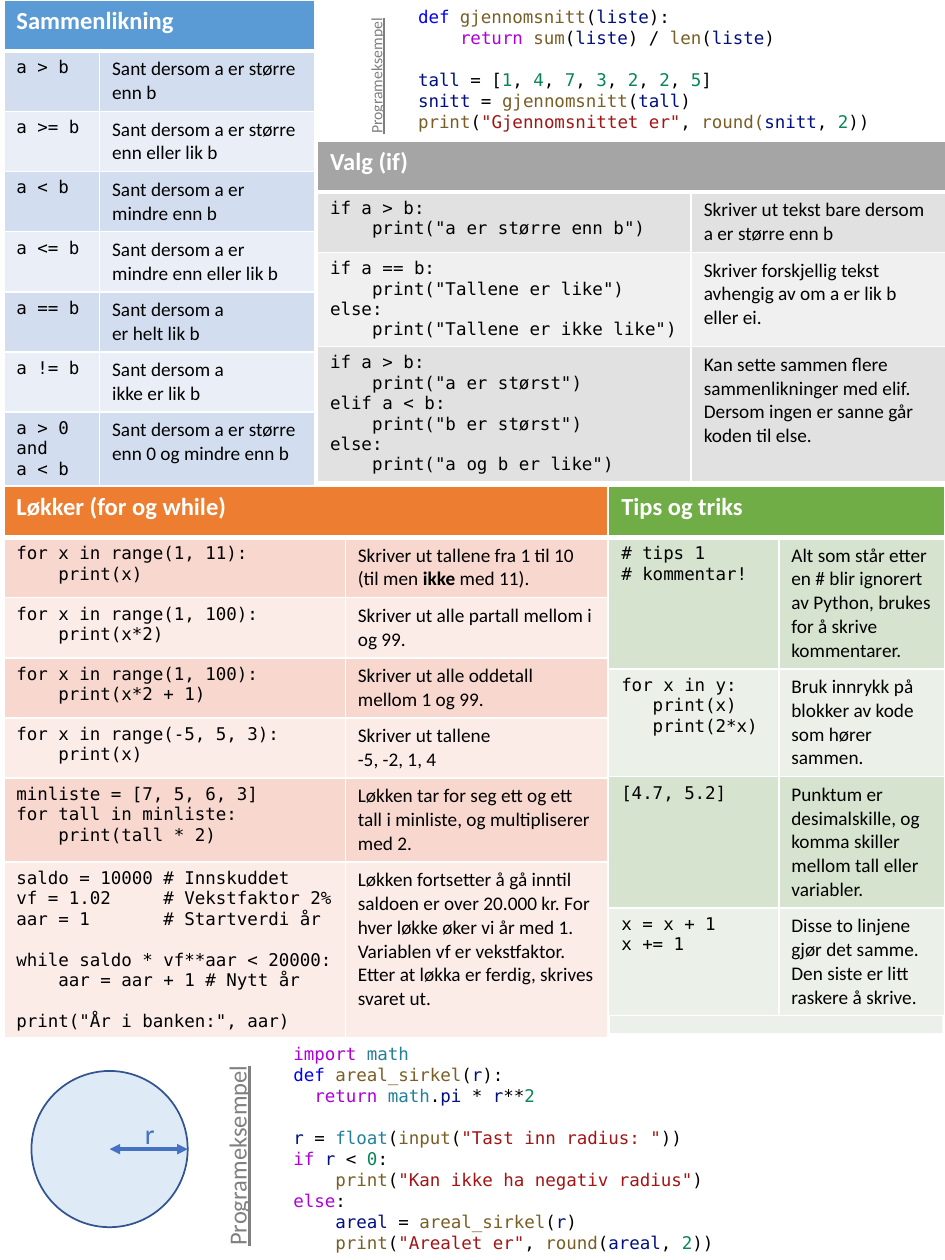
from lxml import etree
from pptx import Presentation
from pptx.dml.color import RGBColor
from pptx.enum.shapes import MSO_CONNECTOR, MSO_SHAPE
from pptx.enum.text import MSO_AUTO_SIZE
from pptx.oxml.ns import qn
from pptx.util import Pt

RECTANGLE, ELLIPSE = MSO_SHAPE.RECTANGLE, MSO_SHAPE.OVAL
STRAIGHT = MSO_CONNECTOR.STRAIGHT
GROW = MSO_AUTO_SIZE.SHAPE_TO_FIT_TEXT

BODY, MONO = "Calibri", "DejaVu Sans Mono"
CODE_SIZE, CODE_LINE, ROW_HEIGHT = 10, 11.64, 29.2
COLOURS = {
    "white": "FFFFFF", "black": "000000", "grey": "808080",
    "circle": "DEEBF7", "outline": "325491", "radius": "4472C4", "footer": "EBF1EA",
    # Syntax colours, keyed by the letter that starts each code span
    "k": "AF00DB", "d": "0000FF", "t": "267F99", "f": "795E26",
    "v": "001080", "n": "098658", "s": "A31515", "p": "000000",
}
# Heading, odd row and even row colours
THEMES = {
    "blue": ("5B9BD5", "D2DEEF", "EAEFF7"),
    "grey": ("A5A5A5", "E1E1E1", "F0F0F0"),
    "orange": ("ED7D31", "F8D7CE", "FCECE8"),
    "green": ("70AD47", "D5E3CF", "EBF1E9"),
}

COMPARISONS = [
    ("a > b", "Sant dersom a er større enn b"),
    ("a >= b", "Sant dersom a er større enn eller lik b"),
    ("a < b", "Sant dersom a er mindre enn b"),
    ("a <= b", "Sant dersom a er mindre enn eller lik b"),
    ("a == b", "Sant dersom a\ner helt lik b"),
    ("a != b", "Sant dersom a\nikke er lik b"),
    ("a > 0 and\na < b", "Sant dersom a er større enn 0 og mindre enn b"),
]
CHOICES = [
    ('if a > b:\n    print("a er større enn b")',
     "Skriver ut tekst bare dersom a er større enn b"),
    ('if a == b:\n    print("Tallene er like")\nelse:\n    print("Tallene er ikke like")',
     "Skriver forskjellig tekst avhengig av om a er lik b eller ei."),
    ('if a > b:\n    print("a er størst")\nelif a < b:\n    print("b er størst")\n'
     'else:\n    print("a og b er like")',
     "Kan sette sammen flere sammenlikninger med elif. "
     "Dersom ingen er sanne går koden til else."),
]
LOOPS = [
    ("for x in range(1, 11):\n    print(x)",
     "Skriver ut tallene fra 1 til 10 (til men **ikke** med 11)."),
    ("for x in range(1, 100):\n    print(x*2)", "Skriver ut alle partall mellom i og 99."),
    ("for x in range(1, 100):\n    print(x*2 + 1)", "Skriver ut alle oddetall mellom 1 og 99."),
    ("for x in range(-5, 5, 3):\n    print(x)", "Skriver ut tallene\n-5, -2, 1, 4"),
    ("minliste = [7, 5, 6, 3]\nfor tall in minliste:\n    print(tall * 2)",
     "Løkken tar for seg ett og ett tall i minliste, og multipliserer med 2."),
    ("saldo = 10000 # Innskuddet\nvf = 1.02     # Vekstfaktor 2%\n"
     "aar = 1       # Startverdi år\n\nwhile saldo * vf**aar < 20000:\n"
     '    aar = aar + 1 # Nytt år\n\nprint("År i banken:", aar)',
     "Løkken fortsetter å gå inntil saldoen er over 20.000 kr. For hver løkke øker vi år med 1. "
     "Variablen vf er vekstfaktor. Etter at løkka er ferdig, skrives svaret ut."),
]
TIPS = [
    ("# tips 1\n# kommentar!",
     "Alt som står etter en # blir ignorert av Python, brukes for å skrive kommentarer."),
    ("for x in y:\n   print(x)\n   print(2*x)",
     "Bruk innrykk på blokker av kode som hører sammen."),
    ("[4.7, 5.2]", "Punktum er desimalskille, og komma skiller mellom tall eller variabler."),
    ("x = x + 1\nx += 1", "Disse to linjene gjør det samme. Den siste er litt raskere å skrive."),
]
AVERAGE_CODE = """ddef |fgjennomsnitt|p(|vliste|p):
k    return |fsum|p(|vliste|p) / |flen|p(|vliste|p)

vtall|p = [|n1|p, |n4|p, |n7|p, |n3|p, |n2|p, |n2|p, |n5|p]
vsnitt|p = |fgjennomsnitt|p(|vtall|p)
fprint|p(|s"Gjennomsnittet er"|p, |fround(|vsnitt|p, |n2|p))"""
AREA_CODE = """kimport |tmath
ddef |fareal_sirkel|p(|vr|p):
k  return |tmath|p.|vpi|p * |vr|p**|n2

vr|p = |tfloat|p(|finput|p(|s"Tast inn radius: "|p))
kif |vr|p < |n0|p:
f    print|p(|s"Kan ikke ha negativ radius"|p)
kelse|p:
v    areal|p = |fareal_sirkel|p(|vr|p)
f    print|p(|s"Arealet er"|p, |fround|p(|vareal|p, |n2|p))"""


def rgb(name):
    return RGBColor.from_string(COLOURS.get(name, name))


def split_bold(line):
    return [(part, {"bold": index % 2 == 1}) for index, part in enumerate(line.split("**"))]


def split_syntax(line):
    return [(part[1:], {"colour": part[0]}) for part in line.split("|")]


def write_text(frame, text, split=None, size=11, font=BODY, colour="black",
               bold=False, underline=False):
    """Write one paragraph a line; an empty line becomes space before the next."""
    para, gap = None, 0
    for line in text.split("\n"):
        if not line:
            gap = CODE_LINE
            continue
        para = frame.add_paragraph() if para else frame.paragraphs[0]
        para.space_before, gap = Pt(gap), 0
        for part, extra in split(line) if split else [(line, {})]:
            span = para.add_run()
            span.text = part
            span.font.size, span.font.name = Pt(size), font
            span.font.bold = extra.get("bold", bold)
            span.font.underline = underline
            span.font.color.rgb = rgb(extra.get("colour", colour))


def add_text(page, box, text, wrap=False, rotation=0, **text_format):
    label = page.shapes.add_textbox(*map(Pt, box))
    label.rotation = rotation
    label.text_frame.word_wrap = wrap
    label.text_frame.auto_size = GROW
    write_text(label.text_frame, text, **text_format)


def add_plain_shape(page, kind, box, fill, line=None):
    shape = page.shapes.add_shape(kind, *map(Pt, box))
    shape.shadow.inherit = False
    shape.fill.solid()
    shape.fill.fore_color.rgb = rgb(fill)
    if line:
        shape.line.color.rgb, shape.line.width = rgb(line), Pt(1)
    else:
        shape.line.fill.background()


def style_cell(cell, fill, top, bottom):
    properties = cell._tc.get_or_add_tcPr()
    for side, width in (("L", 1), ("R", 1), ("T", top), ("B", bottom)):
        border = etree.SubElement(properties, qn("a:ln" + side), w=str(Pt(width)))
        solid = etree.SubElement(border, qn("a:solidFill"))
        etree.SubElement(solid, qn("a:srgbClr"), val=COLOURS["white"])
    cell.fill.solid()
    cell.fill.fore_color.rgb = rgb(fill)


def add_code_table(page, box, code_width, theme, title, entries):
    """Table with a merged heading, code on the left and its meaning on the right."""
    holder = page.shapes.add_table(len(entries) + 1, 2, *map(Pt, box))
    table, heading = holder.table, THEMES[theme][0]
    table.columns[0].width, table.columns[1].width = Pt(code_width), Pt(box[2] - code_width)
    for row in table.rows:
        row.height = Pt(ROW_HEIGHT)
    holder.height = Pt(box[3])
    for cell in table.rows[0].cells:
        style_cell(cell, heading, 1, 3)
    table.cell(0, 0).merge(table.cell(0, 1))
    write_text(table.cell(0, 0).text_frame, title, size=14, bold=True, colour="white")
    for number, (code, meaning) in enumerate(entries, 1):
        left, right = table.rows[number].cells
        for cell in (left, right):
            style_cell(cell, THEMES[theme][2 - number % 2], 3 if number == 1 else 1, 1)
        write_text(left.text_frame, code, size=CODE_SIZE, font=MONO)
        write_text(right.text_frame, meaning, split_bold)


def add_example(page, code_box, code, label_box, label_size):
    """Coloured program with an upright label beside it."""
    add_text(page, code_box, code, wrap=True, split=split_syntax, size=CODE_SIZE, font=MONO)
    add_text(page, label_box, "Programeksempel", rotation=270, size=label_size,
             colour="grey", underline=True)


def add_circle(page, left, top, diameter):
    """Circle with its radius as a double arrow."""
    add_plain_shape(page, ELLIPSE, (left, top, diameter, diameter), "circle", "outline")
    middle_x, middle_y = left + diameter / 2, top + diameter / 2
    arrow = page.shapes.add_connector(
        STRAIGHT, *map(Pt, (middle_x, middle_y, left + diameter, middle_y)))
    arrow.line.color.rgb, arrow.line.width = rgb("radius"), Pt(2)
    line = arrow.line._get_or_add_ln()
    for end in ("a:headEnd", "a:tailEnd"):
        etree.SubElement(line, qn(end), type="triangle")
    etree.SubElement(arrow._element.spPr, qn("a:effectLst"))
    add_text(page, (middle_x + 13, middle_y - 22.3, 20.2, 26.6), "r", size=16, colour="radius")


deck = Presentation()
deck.slide_width, deck.slide_height = Pt(540), Pt(720)
page = deck.slides.add_slide(deck.slide_layouts[6])

# Tables
add_plain_shape(page, RECTANGLE, (348.5, 550, 190, 40.3), "footer")
add_code_table(page, (181.4, 80.6, 358.9, 197.3), 213.6, "grey", "Valg (if)", CHOICES)
add_code_table(page, (2.2, 0, 177.8, 277.9), 54.7, "blue", "Sammenlikning", COMPARISONS)
add_code_table(page, (2.2, 277.9, 344.9, 313.9), 195.1, "orange", "Løkker (for og while)", LOOPS)
add_code_table(page, (347.8, 277.9, 192.2, 308.9), 97.2, "green", "Tips og triks", TIPS)

# Program examples
add_example(page, (160.6, 592.6, 260.6, 128.2), AREA_CODE, (72, 643, 127.4, 24.5), 14)
add_circle(page, 18, 612, 89.3)
add_example(page, (231.8, 0, 294.5, 79.9), AVERAGE_CODE, (171.4, 31, 87.1, 18), 9)

deck.save("out.pptx")
